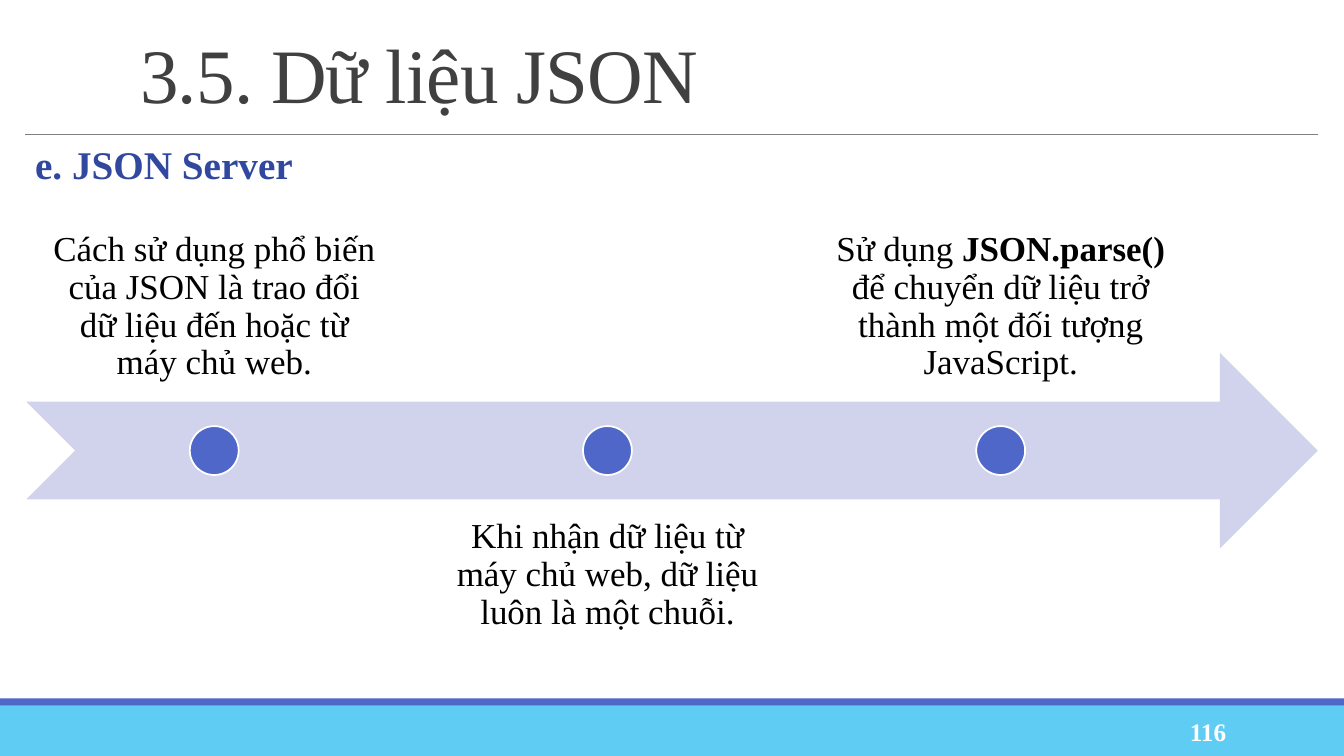
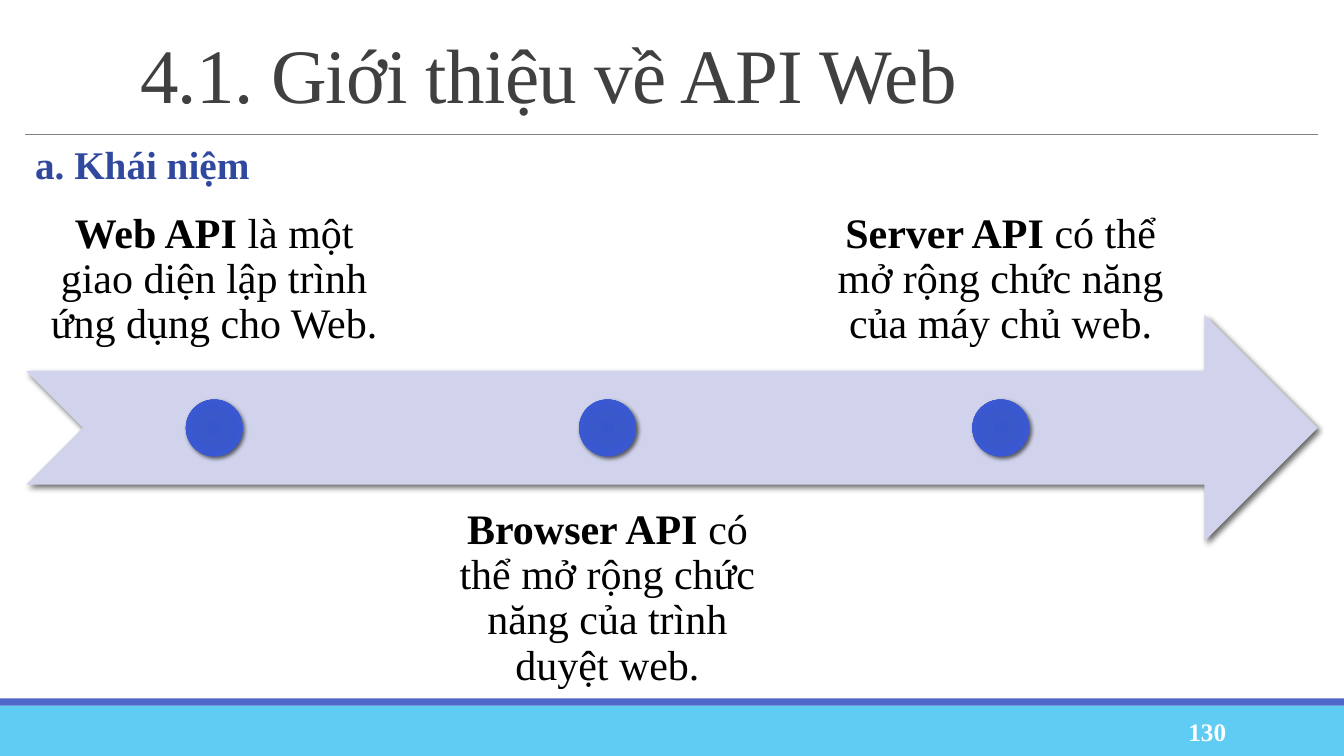
import pptx
import pptx.util
import pptx.dml.color
import pptx.enum.shapes
import pptx.enum.text
import pptx.oxml
import pptx.oxml.ns
from lxml import etree

Inches = pptx.util.Inches
Pt = pptx.util.Pt
RGB = pptx.dml.color.RGBColor
SHAPE = pptx.enum.shapes.MSO_SHAPE
ALIGN = pptx.enum.text.PP_ALIGN
ANCHOR = pptx.enum.text.MSO_ANCHOR
qn = pptx.oxml.ns.qn

FONT = "Times New Roman"
WHITE = RGB(0xFF, 0xFF, 0xFF)
BLACK = RGB(0, 0, 0)
GREY = RGB(0x80, 0x80, 0x80)
DARK = RGB(0x40, 0x40, 0x40)
NAVY = RGB(0x31, 0x48, 0x9F)
BLUE = RGB(0x4E, 0x67, 0xC8)
SKY = RGB(0x5E, 0xCC, 0xF3)
PALE = RGB(0xD0, 0xD3, 0xEB)
GLOW = [
    (0, RGB(0x38, 0x56, 0xCB)),
    (34, RGB(0x3B, 0x58, 0xCB)),
    (70, RGB(0x39, 0x58, 0xD1)),
    (100, RGB(0x48, 0x63, 0xCE)),
]

WIDE, HIGH = 13.33, 7.5
LEFT, SPAN = 0.25, 12.82
STEP, COL = 3.9, 3.71

SLIDES = [
    {
        "title": "3.5. Dữ liệu JSON",
        "head": "e. JSON Server",
        "page": "116",
        "top": 3.5, "high": 1.94, "size": 25, "inset": 0.19, "glossy": False,
        "steps": [
            [("Cách sử dụng phổ biến của JSON là trao đổi dữ liệu đến hoặc từ máy chủ web.", False)],
            [("Khi nhận dữ liệu từ máy chủ web, dữ liệu luôn là một chuỗi.", False)],
            [("Sử dụng ", False), ("JSON.parse() ", True),
             ("để chuyển dữ liệu trở thành một đối tượng JavaScript.", False)],
        ],
    },
    {
        "title": "4.1. Giới thiệu về API Web",
        "head": "a. Khái niệm",
        "page": "130",
        "top": 3.12, "high": 2.25, "size": 30, "inset": 0.23, "glossy": True,
        "steps": [
            [("Web API ", True), ("là một giao diện lập trình ứng dụng cho Web.", False)],
            [("Browser API ", True), ("có thể mở rộng chức năng của trình duyệt web.", False)],
            [("Server API ", True), ("có thể mở rộng chức năng của máy chủ web.", False)],
        ],
    },
]


def place(box):
    return [Inches(n) for n in box]


def add_text(slide, box, runs, size, color, align=ALIGN.LEFT,
             anchor=ANCHOR.TOP, inset=(0.1, 0.05), lines=1.0):
    frame = slide.shapes.add_textbox(*place(box)).text_frame
    frame.word_wrap = True
    frame.vertical_anchor = anchor
    frame.margin_left = frame.margin_right = Inches(inset[0])
    frame.margin_top = frame.margin_bottom = Inches(inset[1])
    para = frame.paragraphs[0]
    para.alignment = align
    para.line_spacing = lines
    para.font.name = FONT
    para.font.size = Pt(size)
    para.font.color.rgb = color
    for text, bold in runs:
        run = para.add_run()
        run.text = text
        run.font.bold = bold
    return para


def add_form(slide, kind, box, color):
    form = slide.shapes.add_shape(kind, *place(box))
    form.shadow.inherit = False
    form.fill.solid()
    form.fill.fore_color.rgb = color
    form.line.fill.background()
    return form


def add_shade(form):
    effects = form._element.spPr.find(qn("a:effectLst"))
    shade = etree.SubElement(effects, qn("a:outerShdw"), blurRad=str(Pt(3)),
                             dist=str(Pt(2)), dir="2700000", rotWithShape="0")
    color = etree.SubElement(shade, qn("a:srgbClr"), val=str(BLACK))
    etree.SubElement(color, qn("a:alpha"), val="60000")


def add_glow(form):
    props = form._element.spPr
    grad = etree.Element(qn("a:gradFill"), rotWithShape="1")
    stops = etree.SubElement(grad, qn("a:gsLst"))
    for pos, color in GLOW:
        stop = etree.SubElement(stops, qn("a:gs"), pos=str(pos * 1000))
        etree.SubElement(stop, qn("a:srgbClr"), val=str(color))
    route = etree.SubElement(grad, qn("a:path"), path="circle")
    etree.SubElement(route, qn("a:fillToRect"),
                     {side: "100000" for side in "ltrb"})
    props.replace(props.find(qn("a:solidFill")), grad)


def add_frame(slide, data):
    add_form(slide, SHAPE.RECTANGLE, (0, 7, WIDE, 0.5), SKY)
    add_form(slide, SHAPE.RECTANGLE, (0, 6.93, WIDE, 0.07), BLUE)
    rule = slide.shapes.add_connector(
        pptx.enum.shapes.MSO_CONNECTOR.STRAIGHT,
        *place((LEFT, 1.33, LEFT + SPAN, 1.33)))
    rule.line.color.rgb = GREY
    rule.line.width = Pt(0.5)
    etree.SubElement(rule._element.spPr, qn("a:effectLst"))
    title = add_text(slide, (1.29, 0.31, 11.78, 0.96), [(data["title"], False)],
                     55, DARK, anchor=ANCHOR.MIDDLE, lines=0.85)
    title.runs[0]._r.get_or_add_rPr().set("spc", "-50")
    add_text(slide, (LEFT, 1.4, SPAN, 0.6), [(data["head"], True)],
             28, NAVY, lines=0.9)
    add_text(slide, (10.83, 7.06, 1.43, 0.4), [(data["page"], True)],
             18, WHITE, ALIGN.RIGHT, ANCHOR.MIDDLE)


def add_flow(slide, data):
    top, high, inset = data["top"], data["high"], data["inset"]
    dot = high / 4
    arrow = add_form(slide, SHAPE.NOTCHED_RIGHT_ARROW, (0.26, top, 12.81, high), PALE)
    if data["glossy"]:
        add_shade(arrow)
    for i, runs in enumerate(data["steps"]):
        left = 0.27 + i * STEP
        above = i % 2 == 0
        y = top + dot - high if above else top + high - dot
        add_text(slide, (left, y, COL, high), runs, data["size"], BLACK,
                 ALIGN.CENTER, ANCHOR.BOTTOM if above else ANCHOR.TOP,
                 (inset, inset), 0.9)
        ball = add_form(slide, SHAPE.OVAL,
                        (left + (COL - dot) / 2, top + (high - dot) / 2, dot, dot), BLUE)
        if data["glossy"]:
            add_glow(ball)
            add_shade(ball)
        else:
            ball.line.color.rgb = WHITE
            ball.line.width = Pt(1.25)


def main():
    deck = pptx.Presentation()
    deck.slide_width, deck.slide_height = place((WIDE, HIGH))
    for data in SLIDES:
        slide = deck.slides.add_slide(deck.slide_layouts[6])
        add_frame(slide, data)
        add_flow(slide, data)
    deck.save("out.pptx")


if __name__ == "__main__":
    main()
